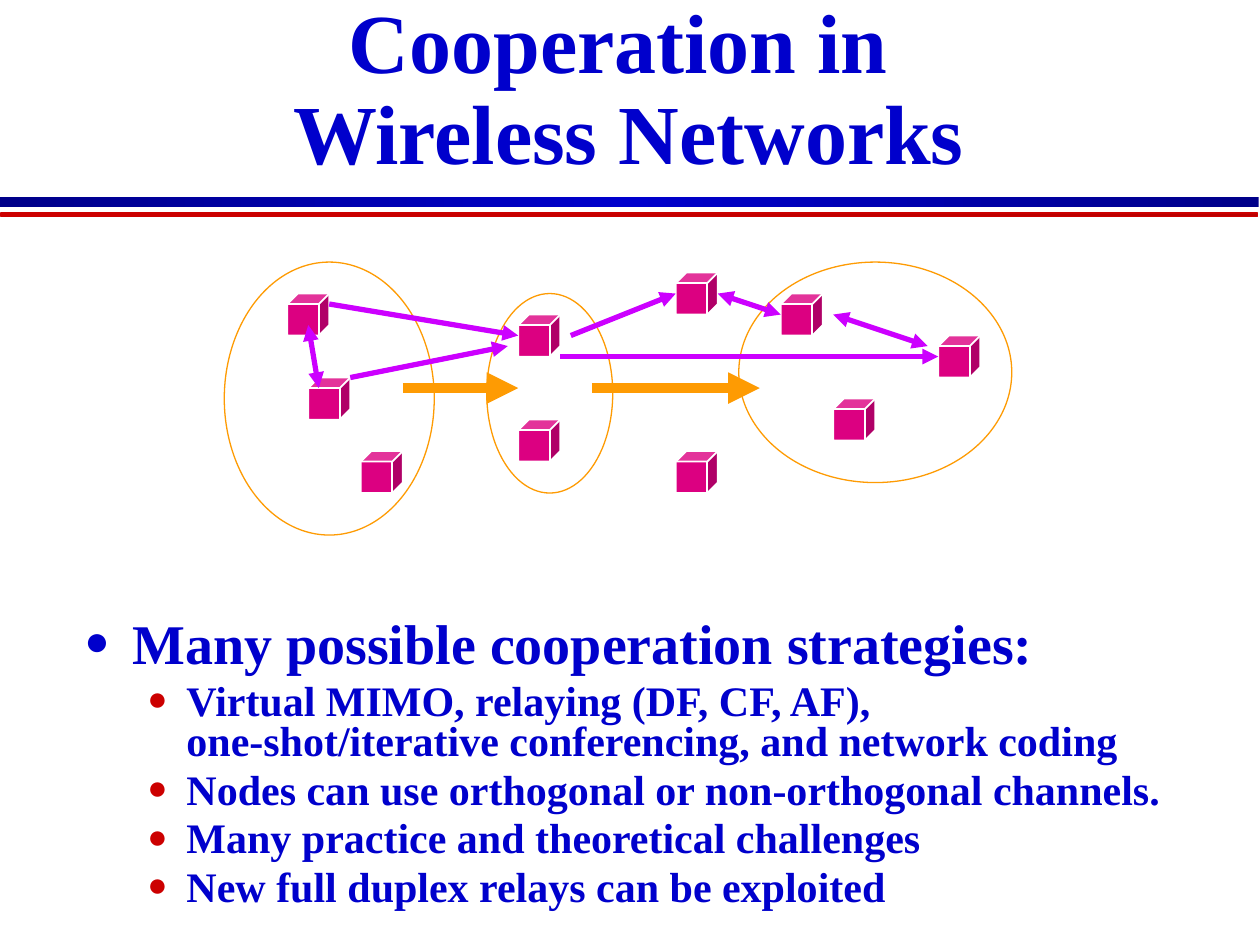
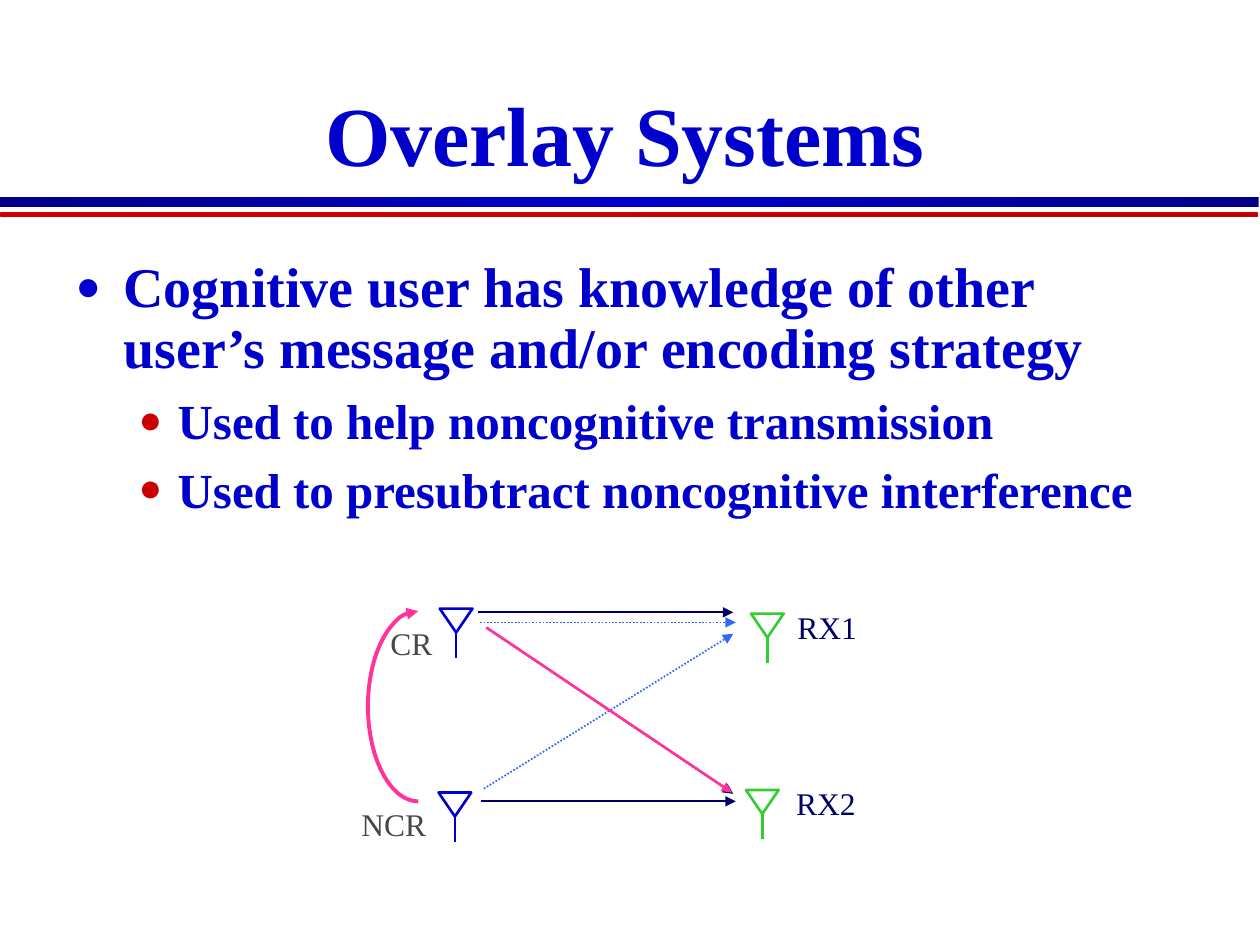
import lxml.etree
import pptx
import pptx.dml.color
import pptx.enum.dml
import pptx.enum.shapes
import pptx.enum.text
import pptx.oxml.ns
import pptx.util
from dataclasses import dataclass

Inches = pptx.util.Inches
Pt = pptx.util.Pt
qn = pptx.oxml.ns.qn
Shapes = pptx.enum.shapes.MSO_SHAPE
Align = pptx.enum.text.PP_ALIGN


@dataclass(frozen=True)
class Theme:
    font: str = "Times New Roman"
    blue: str = "0000CC"
    dark_blue: str = "000089"
    red: str = "CC0000"
    dark_red: str = "B90000"
    white: str = "FFFFFF"
    magenta: str = "DC0081"
    orange: str = "FE9B03"
    violet: str = "CC00FF"
    navy: str = "000066"
    sky: str = "3366FF"
    pink: str = "FF3399"
    green: str = "33CC33"
    gray: str = "474747"
    title_size: int = 48
    head_size: int = 32
    label_size: int = 18


THEME = Theme()


def rgb(value):
    return pptx.dml.color.RGBColor.from_string(value)


def inches(*values):
    return [Inches(value) for value in values]


def move(shape, box):
    shape.left, shape.top, shape.width, shape.height = inches(*box)


def write(paragraph, text, size, color, bold=False, align=None, spacing=None, before=0):
    paragraph.text = text
    paragraph.alignment = align
    paragraph.space_before = Pt(before)
    if spacing:
        paragraph.line_spacing = spacing
    for run in paragraph.runs:
        run.font.name = THEME.font
        run.font.size = Pt(size)
        run.font.bold = bold
        run.font.color.rgb = rgb(color)


def add_bullet(paragraph, color, percent, margin, indent):
    properties = paragraph._p.get_or_add_pPr()
    properties.set("marL", str(Inches(margin)))
    properties.set("indent", str(Inches(indent)))
    bullet_color = lxml.etree.SubElement(properties, qn("a:buClr"))
    lxml.etree.SubElement(bullet_color, qn("a:srgbClr"), val=color)
    lxml.etree.SubElement(properties, qn("a:buSzPct"), val=str(percent * 1000))
    lxml.etree.SubElement(properties, qn("a:buFont"), typeface=THEME.font)
    lxml.etree.SubElement(properties, qn("a:buChar"), char="●")


def style_line(shape, color, width, dash=None, head=False, tail=False):
    shape.line.color.rgb = rgb(color)
    shape.line.width = Pt(width)
    if dash:
        shape.line.dash_style = dash
    outline = shape.element.spPr.find(qn("a:ln"))
    for shown, tag in ((head, "a:headEnd"), (tail, "a:tailEnd")):
        if shown:
            lxml.etree.SubElement(outline, qn(tag), type="triangle")


def add_shape(slide, kind, box, fill=None, color=None, width=1, **ends):
    shape = slide.shapes.add_shape(kind, *inches(*box))
    if fill:
        shape.fill.solid()
        shape.fill.fore_color.rgb = rgb(fill)
    else:
        shape.fill.background()
    if color:
        style_line(shape, color, width, **ends)
    else:
        shape.line.fill.background()
    shape.shadow.inherit = False
    return shape


def add_line(slide, start, end, color, width, **style):
    line = slide.shapes.add_connector(
        pptx.enum.shapes.MSO_CONNECTOR.STRAIGHT, *inches(*start, *end))
    style_line(line, color, width, **style)
    lxml.etree.SubElement(line.element.spPr, qn("a:effectLst"))


def add_label(slide, text, box, color, align=None, wrap=False):
    label = slide.shapes.add_textbox(*inches(*box))
    label.text_frame.word_wrap = wrap
    write(label.text_frame.paragraphs[0], text, THEME.label_size, color, align=align)


# Bands under the title, shared through the master
def add_band(slide, box, stops, color=None):
    band = add_shape(slide, Shapes.RECTANGLE, box, color=color)
    band.fill.gradient()
    band.fill.gradient_angle = 0
    stop_list = band.element.spPr.find(".//" + qn("a:gsLst"))
    for stop in list(stop_list):
        stop_list.remove(stop)
    for position, stop_color in stops:
        stop = lxml.etree.SubElement(stop_list, qn("a:gs"), pos=str(position * 1000))
        lxml.etree.SubElement(stop, qn("a:srgbClr"), val=stop_color)
    return band


def add_master_bands(presentation, slide):
    bands = (
        add_band(slide, (0, 1.56, 9.99, 0.08),
                 ((0, THEME.dark_blue), (50, THEME.blue), (100, THEME.dark_blue))),
        add_band(slide, (0.01, 1.69, 9.97, 0.03),
                 ((0, THEME.red), (100, THEME.dark_red)), THEME.red),
    )
    for band in bands:
        presentation.slide_master.shapes.element.append(band.element)


# Title and bullet list
def fill_title(slide, text, box, spacing):
    title = slide.shapes.title
    move(title, box)
    frame = title.text_frame
    frame.auto_size = pptx.enum.text.MSO_AUTO_SIZE.NONE
    frame.vertical_anchor = pptx.enum.text.MSO_ANCHOR.BOTTOM
    write(frame.paragraphs[0], text, THEME.title_size, THEME.blue,
          bold=True, align=Align.CENTER, spacing=spacing)


def fill_list(slide, box, heading, items, item_size, heading_spacing, item_spacing):
    body = slide.placeholders[1]
    move(body, box)
    frame = body.text_frame
    frame.auto_size = pptx.enum.text.MSO_AUTO_SIZE.NONE
    paragraph = frame.paragraphs[0]
    write(paragraph, heading, THEME.head_size, THEME.blue, bold=True,
          spacing=heading_spacing)
    add_bullet(paragraph, THEME.blue, 75, 0.38, -0.38)
    for item in items:
        paragraph = frame.add_paragraph()
        paragraph.level = 1
        write(paragraph, item, item_size, THEME.blue, bold=True,
              spacing=item_spacing, before=item_size * 0.2)
        add_bullet(paragraph, THEME.red, 80, 0.81, -0.31)


# Network of cooperating nodes, on a grid of twelfths of an inch
def draw_network(slide, left, top):
    def point(column, row):
        return left + column / 12, top + row / 12

    nodes = ((8, 11), (6, 3), (43, 18), (58, 13), (28, 15),
             (53, 3), (68, 7), (28, 5), (43, 1), (13, 18))
    for node in nodes:
        add_shape(slide, Shapes.CUBE, (*point(*node), 4 / 12, 4 / 12),
                  THEME.magenta, THEME.white)

    clusters = ((0, 0, 20, 26), (25, 3, 12, 19), (49, 0, 26, 21))
    for column, row, width, height in clusters:
        add_shape(slide, Shapes.OVAL, (*point(column, row), width / 12, height / 12),
                  color=THEME.orange, width=0.75)

    for start, end in ((17, 28), (35, 51)):
        add_line(slide, point(start, 12), point(end, 12), THEME.orange, 6, tail=True)

    links = (
        ((8, 6), (9, 12), True),
        ((10, 4), (28, 7), False),
        ((12, 11), (27, 8), False),
        ((33, 7), (43, 3), False),
        ((47, 3), (53, 5), True),
        ((32, 9), (68, 9), False),
        ((58, 5), (67, 8), True),
    )
    for start, end, two_way in links:
        add_line(slide, point(*start), point(*end), THEME.violet, 3,
                 head=two_way, tail=True)


# Cognitive and noncognitive links
def draw_antenna(slide, left, top, color):
    dish = add_shape(slide, Shapes.ISOSCELES_TRIANGLE, (left, top, 0.26, 0.19),
                     color=color, width=1.5)
    dish.rotation = 180
    add_line(slide, (left + 0.13, top + 0.19), (left + 0.13, top + 0.39), color, 1.5)


def draw_overlay(slide, left, top):
    def place(x, y, *size):
        return (left + x, top + y, *size)

    for text, x, y in (("RX1", 2.95, 0), ("RX2", 2.94, 1.39)):
        add_label(slide, text, place(x, y, 1.69, 0.46), THEME.navy,
                  align=Align.CENTER, wrap=True)

    dotted = pptx.enum.dml.MSO_LINE.ROUND_DOT
    links = (
        ((1.02, 0.08), (3.05, 0.08), THEME.navy, 1, None),
        ((1.05, 1.58), (3.07, 1.58), THEME.navy, 1, None),
        ((1.10, 0.21), (3.05, 1.52), THEME.navy, 1, dotted),
        ((1.07, 1.48), (3.05, 0.25), THEME.sky, 1, dotted),
        ((1.09, 0.20), (3.04, 1.51), THEME.pink, 1.5, None),
        ((1.04, 0.16), (3.07, 0.16), THEME.sky, 1, dotted),
    )
    for start, end, color, width, dash in links:
        add_line(slide, place(*start), place(*end), color, width, dash=dash, tail=True)

    # Curved arrow made of two quarter arcs
    for y, upper in ((0.07, True), (0.06, False)):
        arc = add_shape(slide, Shapes.ARC, place(0.15, y, 0.8, 1.52),
                        color=THEME.pink, width=2.25, head=upper)
        frame = arc.element.spPr.find(qn("a:xfrm"))
        frame.set("flipH", "1")
        if not upper:
            frame.set("flipV", "1")

    antennas = ((0.72, 0.05, THEME.blue), (3.15, 1.49, THEME.green),
                (3.19, 0.09, THEME.green), (0.71, 1.51, THEME.blue))
    for x, y, color in antennas:
        draw_antenna(slide, *place(x, y), color)

    add_label(slide, "NCR", place(0, 1.56, 0.8, 0.47), THEME.gray)
    add_label(slide, "CR", place(0.23, 0.12, 0.58, 0.46), THEME.gray)


def build_cooperation(slide):
    fill_title(slide, "Cooperation in \vWireless Networks", (0.38, 0.25, 9.22, 1.25), 0.9)
    fill_list(slide, (0.57, 4.67, 8.92, 2.75), "Many possible cooperation strategies:", (
        "Virtual MIMO, relaying (DF, CF, AF), one-shot/iterative conferencing, "
        "and network coding",
        "Nodes can use orthogonal or non-orthogonal channels.",
        "Many practice and theoretical challenges",
        "New full duplex relays can be exploited",
    ), 24, 1.2, 0.8)
    draw_network(slide, 1.78, 2.08)


def build_overlay(slide):
    fill_title(slide, "Overlay Systems", (0.67, 0.25, 8.58, 1.25), 0.8)
    fill_list(
        slide, (0.5, 2.01, 8.84, 4.5),
        "Cognitive user has knowledge of other user’s message and/or encoding strategy",
        ("Used to help noncognitive transmission",
         "Used to presubtract noncognitive interference"), 28, 0.9, 1.0)
    draw_overlay(slide, 2.77, 4.78)


def main():
    presentation = pptx.Presentation()
    presentation.slide_width, presentation.slide_height = inches(10, 7.5)
    layout = presentation.slide_layouts[1]
    slides = [presentation.slides.add_slide(layout) for _ in range(2)]
    add_master_bands(presentation, slides[0])
    build_cooperation(slides[0])
    build_overlay(slides[1])
    presentation.save("out.pptx")


if __name__ == "__main__":
    main()
